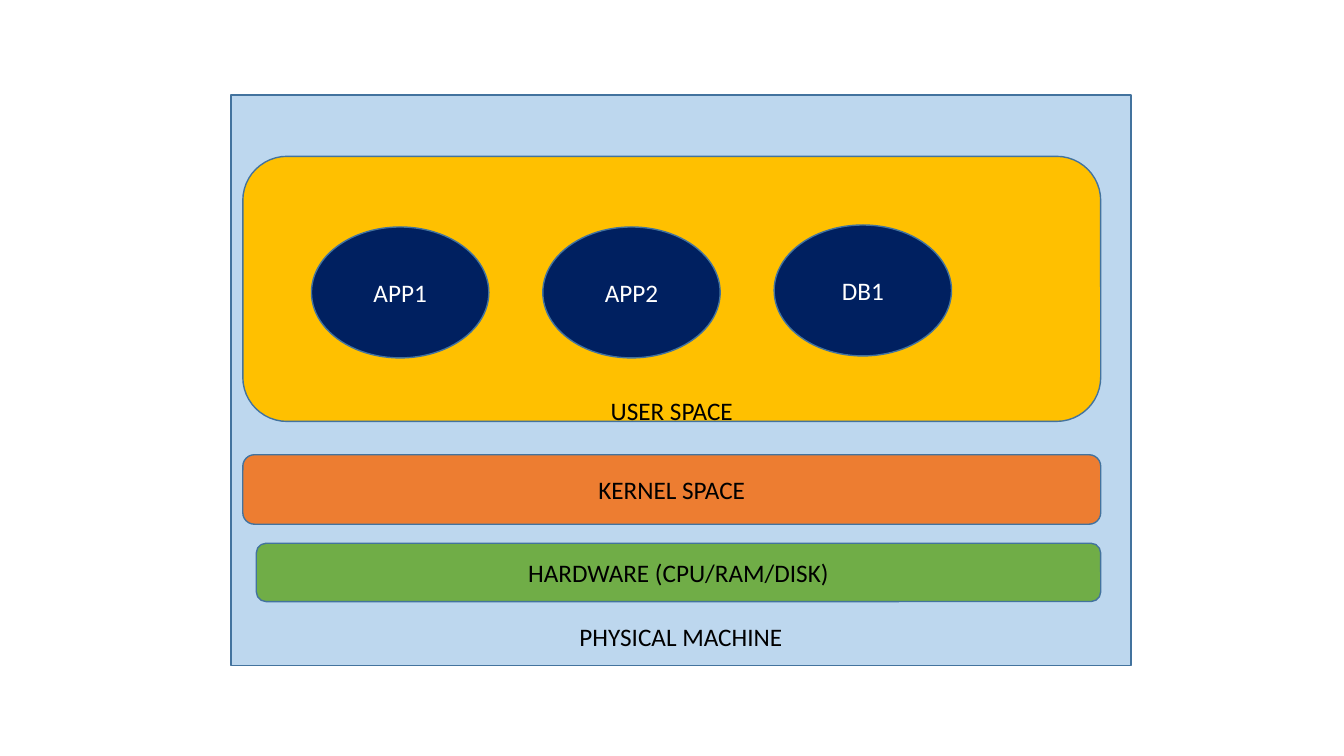
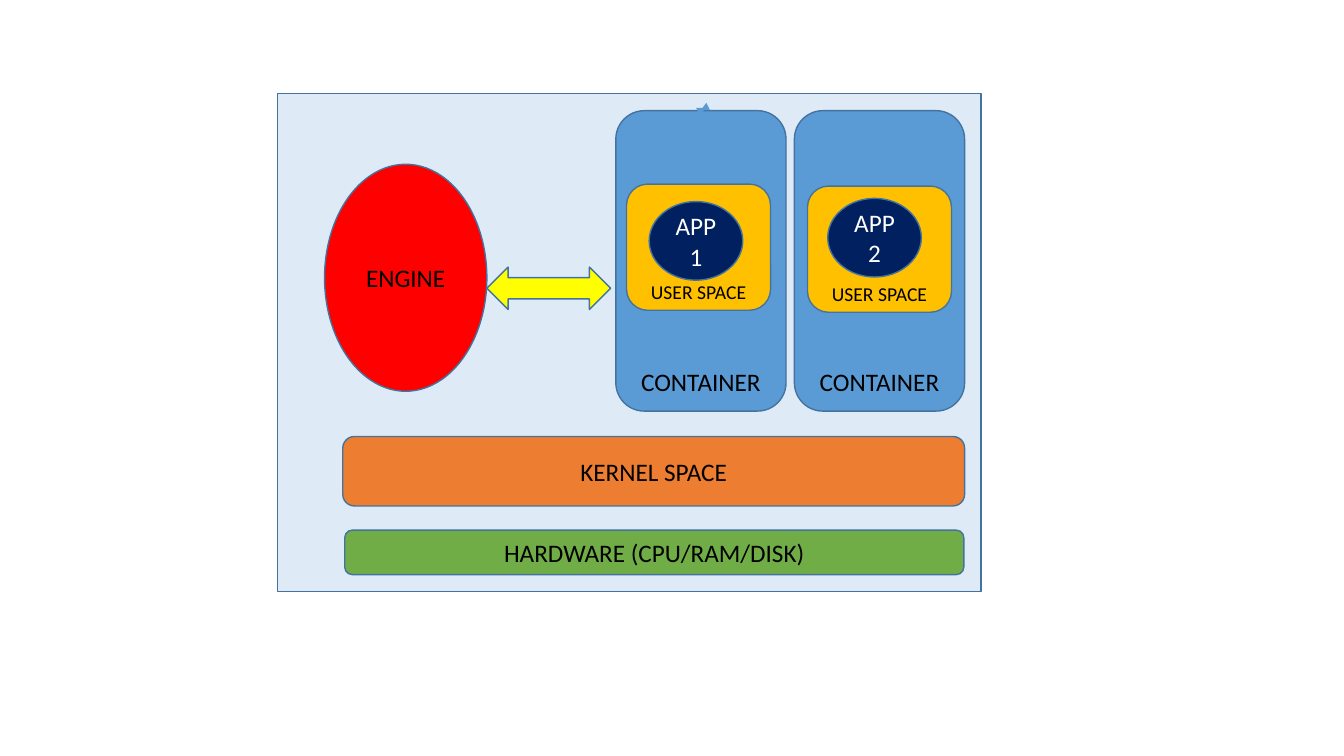
from lxml import etree
from pptx import Presentation
from pptx.dml.color import RGBColor
from pptx.enum.shapes import MSO_CONNECTOR, MSO_SHAPE
from pptx.enum.text import MSO_ANCHOR, PP_ALIGN
from pptx.oxml.ns import qn
from pptx.util import Cm, Pt

RECT, ROUND, OVAL = MSO_SHAPE.RECTANGLE, MSO_SHAPE.ROUNDED_RECTANGLE, MSO_SHAPE.OVAL
DOUBLE_ARROW = MSO_SHAPE.LEFT_RIGHT_ARROW
CURVE = MSO_CONNECTOR.CURVE
TOP, MIDDLE = MSO_ANCHOR.TOP, MSO_ANCHOR.MIDDLE
CENTER = PP_ALIGN.CENTER

FONT = "Calibri"
BLACK = RGBColor(0x00, 0x00, 0x00)
WHITE = RGBColor(0xFF, 0xFF, 0xFF)
OUTLINE = RGBColor(0x43, 0x73, 0x9E)
LIGHT_BLUE = RGBColor(0xBD, 0xD7, 0xEE)
PALE_BLUE = RGBColor(0xDE, 0xEB, 0xF7)
BLUE = RGBColor(0x5B, 0x9B, 0xD5)
NAVY = RGBColor(0x00, 0x20, 0x60)
GOLD = RGBColor(0xFF, 0xC0, 0x00)
ORANGE = RGBColor(0xED, 0x7D, 0x31)
GREEN = RGBColor(0x70, 0xAD, 0x47)
RED = RGBColor(0xFF, 0x00, 0x00)
YELLOW = RGBColor(0xFF, 0xFF, 0x00)


def inside(box, x, y, w, h):
    """Return a box in cm whose offset is measured from another box."""
    return box[0] + x, box[1] + y, w, h


def add_block(s, kind, box, fill, text="", color=BLACK, size=18, drop=None):
    """Add an outlined shape; drop puts its label that many cm below the top."""
    sp = s.shapes.add_shape(kind, *map(Cm, box))
    sp.shadow.inherit = False
    sp.fill.solid()
    sp.fill.fore_color.rgb = fill
    sp.line.color.rgb = OUTLINE
    sp.line.width = Pt(1)
    if text:
        tf = sp.text_frame
        tf.word_wrap = True
        tf.vertical_anchor = MIDDLE
        if drop is not None:
            tf.vertical_anchor = TOP
            tf.margin_top, tf.margin_bottom = Cm(drop), 0
        p = tf.paragraphs[0]
        p.text = text
        p.alignment = CENTER
        p.font.name = FONT
        p.font.size = Pt(size)
        p.font.color.rgb = color


def add_app(s, box, name):
    """Add the dark ellipse of one application."""
    add_block(s, OVAL, box, NAVY, name, WHITE)


def add_base_layers(s, kernel, hardware):
    """Add the kernel and hardware bars."""
    add_block(s, ROUND, kernel, ORANGE, "KERNEL SPACE")
    add_block(s, ROUND, hardware, GREEN, "HARDWARE (CPU/RAM/DISK)")


def add_user_space(s, box):
    """Add the shared user space with its row of applications."""
    add_block(s, ROUND, box, GOLD, "USER SPACE", drop=5.7)
    for i, (name, y) in enumerate((("APP1", 1.78), ("APP2", 1.78), ("DB1", 1.73))):
        add_app(s, inside(box, 1.73 + i * 5.83, y, 4.47, 3.3), name)


def add_container(s, box, name, space_at, app_at):
    """Add a container with its own user space and application."""
    add_block(s, ROUND, box, BLUE, "CONTAINER", drop=6.23)
    add_block(s, ROUND, inside(box, *space_at, 3.63, 3.18), GOLD, "USER SPACE", size=14, drop=2.27)
    add_app(s, inside(box, *app_at, 2.36, 1.98), name)


def add_curved_arrow(s, box):
    """Add a thin double-headed curve rising from the lower left of the box."""
    x, y, w, h = box
    c = s.shapes.add_connector(CURVE, Cm(x), Cm(y + h), Cm(x + w), Cm(y))
    c.line.color.rgb = BLUE
    c.line.width = Pt(0.5)
    ln = c.line._get_or_add_ln()
    for end in ("a:headEnd", "a:tailEnd"):
        etree.SubElement(ln, qn(end), type="triangle")
    etree.SubElement(c._element.spPr, qn("a:effectLst"))


def physical_machine_slide(s, box):
    """Draw applications sharing one user space on a physical machine."""
    add_block(s, RECT, box, LIGHT_BLUE, "PHYSICAL MACHINE", drop=13.27)
    add_base_layers(s, inside(box, 0.3, 9.07, 21.62, 1.75), inside(box, 0.64, 11.3, 21.28, 1.47))
    add_user_space(s, inside(box, 0.3, 1.55, 21.62, 6.68))


def container_slide(s, box):
    """Draw the container engine beside two containers on one kernel."""
    add_block(s, RECT, box, PALE_BLUE)
    add_base_layers(s, inside(box, 1.65, 8.64, 15.67, 1.75), inside(box, 1.7, 11, 15.6, 1.12))
    containers = (("APP1", (0.27, 1.85), (0.84, 2.29)), ("APP2", (0.33, 1.9), (0.84, 2.21)))
    for i, parts in enumerate(containers):
        add_container(s, inside(box, 8.53 + i * 4.5, 0.43, 4.29, 7.57), *parts)
    add_curved_arrow(s, inside(box, 10.67, 0.36, 0.12, 0.06))
    add_block(s, OVAL, inside(box, 1.19, 1.78, 4.09, 5.72), RED, "ENGINE")
    add_block(s, DOUBLE_ARROW, inside(box, 5.28, 4.37, 3.12, 1.07), YELLOW)


def main():
    """Build and save the presentation."""
    prs = Presentation()
    prs.slide_width, prs.slide_height = Cm(33.87), Cm(19.05)
    blank = prs.slide_layouts[6]
    physical_machine_slide(prs.slides.add_slide(blank), (5.82, 2.39, 22.68, 14.38))
    container_slide(prs.slides.add_slide(blank), (6.99, 2.36, 17.73, 12.55))
    prs.save("out.pptx")


if __name__ == "__main__":
    main()
